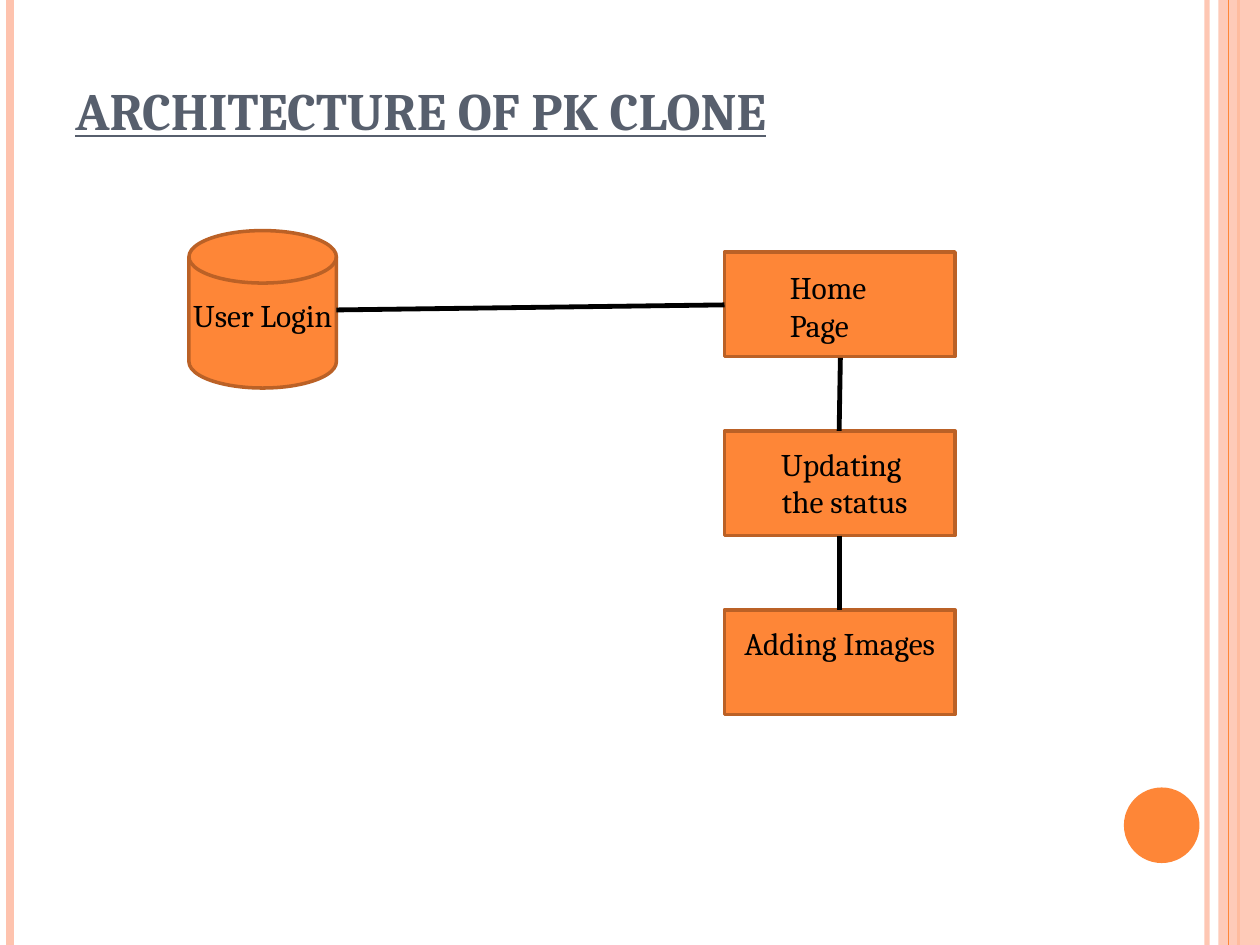
from lxml.etree import SubElement
from pptx import Presentation
from pptx.dml.color import RGBColor
from pptx.enum.shapes import MSO_CONNECTOR, MSO_SHAPE
from pptx.enum.text import MSO_ANCHOR, PP_ALIGN
from pptx.oxml.ns import qn
from pptx.util import Inches, Pt

ORANGE, PEACH, BROWN = "FE8637", "FEC3AE", "BB6126"
BLACK, SLATE = "000000", "575F6D"
FONT = "Cambria"
TITLE = "ARCHITECTURE OF PK CLONE"
SLIDE_WIDTH, SLIDE_HEIGHT = 10, 7.5

LEFT_RULES = [(9.58, PEACH, 3, 93), (0.08, PEACH, 4.5, 100), (9.83, ORANGE, 1.5, 100)]
BAND_RULE = (9.75, ORANGE, 0.75, 100)

BOX_LEFT, BOX_TOP, BOX_WIDTH, BOX_HEIGHT, BOX_PITCH = 5.75, 2, 1.83, 0.83, 1.42
BOX_COUNT = 3
LINKS = [
    ((2.67, 2.46), (5.75, 2.42)),
    ((6.67, 2.84), (6.66, 3.42)),
    ((6.66, 4.25), (6.66, 4.84)),
]
LABELS = [
    ("User Login", (1.42, 2.3, 1.33, 0.7), PP_ALIGN.CENTER),
    ("Home Page", (6.17, 2.08, 1, 0.7), PP_ALIGN.LEFT),
    ("Updating \nthe status", (5.83, 3.48, 1.75, 0.7), PP_ALIGN.CENTER),
    ("Adding Images", (5.79, 4.9, 1.75, 0.7), PP_ALIGN.CENTER),
]


def paint(color_format, color, opacity=100):
    color_format.rgb = RGBColor.from_string(color)
    if opacity < 100:
        for element in color_format._xFill.iter(qn("a:srgbClr")):
            SubElement(element, qn("a:alpha"), val=str(opacity * 1000))


def add_line(slide, start, end, color, width, opacity=100):
    points = [Inches(value) for value in (*start, *end)]
    connector = slide.shapes.add_connector(MSO_CONNECTOR.STRAIGHT, *points)
    connector.line.fill.solid()
    paint(connector.line.color, color, opacity)
    connector.line.width = Pt(width)
    SubElement(connector._element.spPr, qn("a:effectLst"))


def add_rule(slide, x, color, width, opacity):
    add_line(slide, (x, 0), (x, SLIDE_HEIGHT), color, width, opacity)


def add_filled(slide, kind, place, fill, outline=None, opacity=100):
    shape = slide.shapes.add_shape(kind, *map(Inches, place))
    shape.shadow.inherit = False
    shape.fill.solid()
    shape.fill.fore_color.rgb = RGBColor.from_string(fill)
    if opacity < 100:
        color = shape._element.spPr.find(qn("a:solidFill")).find(qn("a:srgbClr"))
        SubElement(color, qn("a:alpha"), val=str(opacity * 1000))
    if outline:
        paint(shape.line.color, outline)
        shape.line.width = Pt(2)
    else:
        shape.line.fill.background()


def add_text(slide, text, place, size, color, align=PP_ALIGN.LEFT,
             anchor=MSO_ANCHOR.TOP, heading=False):
    frame = slide.shapes.add_textbox(*map(Inches, place)).text_frame
    frame.word_wrap = True
    frame.vertical_anchor = anchor
    frame.text = text
    for paragraph in frame.paragraphs:
        paragraph.alignment = align
        for run in paragraph.runs:
            run.font.name = FONT
            run.font.size = Pt(size)
            run.font.bold = heading
            run.font.underline = heading
            paint(run.font.color, color)


def main():
    presentation = Presentation()
    presentation.slide_width = Inches(SLIDE_WIDTH)
    presentation.slide_height = Inches(SLIDE_HEIGHT)
    slide = presentation.slides.add_slide(presentation.slide_layouts[6])

    for rule in LEFT_RULES:
        add_rule(slide, *rule)
    add_filled(slide, MSO_SHAPE.RECTANGLE, (9.67, 0, 0.33, SLIDE_HEIGHT), PEACH, opacity=87)
    add_rule(slide, *BAND_RULE)
    add_filled(slide, MSO_SHAPE.OVAL, (8.92, 6.25, 0.6, 0.6), ORANGE)

    add_text(slide, TITLE, (0.5, 0.3, 8.17, 0.87), 30, SLATE,
             anchor=MSO_ANCHOR.BOTTOM, heading=True)

    add_filled(slide, MSO_SHAPE.FLOWCHART_MAGNETIC_DISK, (1.5, 1.83, 1.17, 1.25), ORANGE, BROWN)
    for index in range(BOX_COUNT):
        place = (BOX_LEFT, BOX_TOP + index * BOX_PITCH, BOX_WIDTH, BOX_HEIGHT)
        add_filled(slide, MSO_SHAPE.FLOWCHART_PROCESS, place, ORANGE, BROWN)
    for start, end in LINKS:
        add_line(slide, start, end, BLACK, 2.75)
    for text, place, align in LABELS:
        add_text(slide, text, place, 18, BLACK, align)

    presentation.save("out.pptx")


if __name__ == "__main__":
    main()
